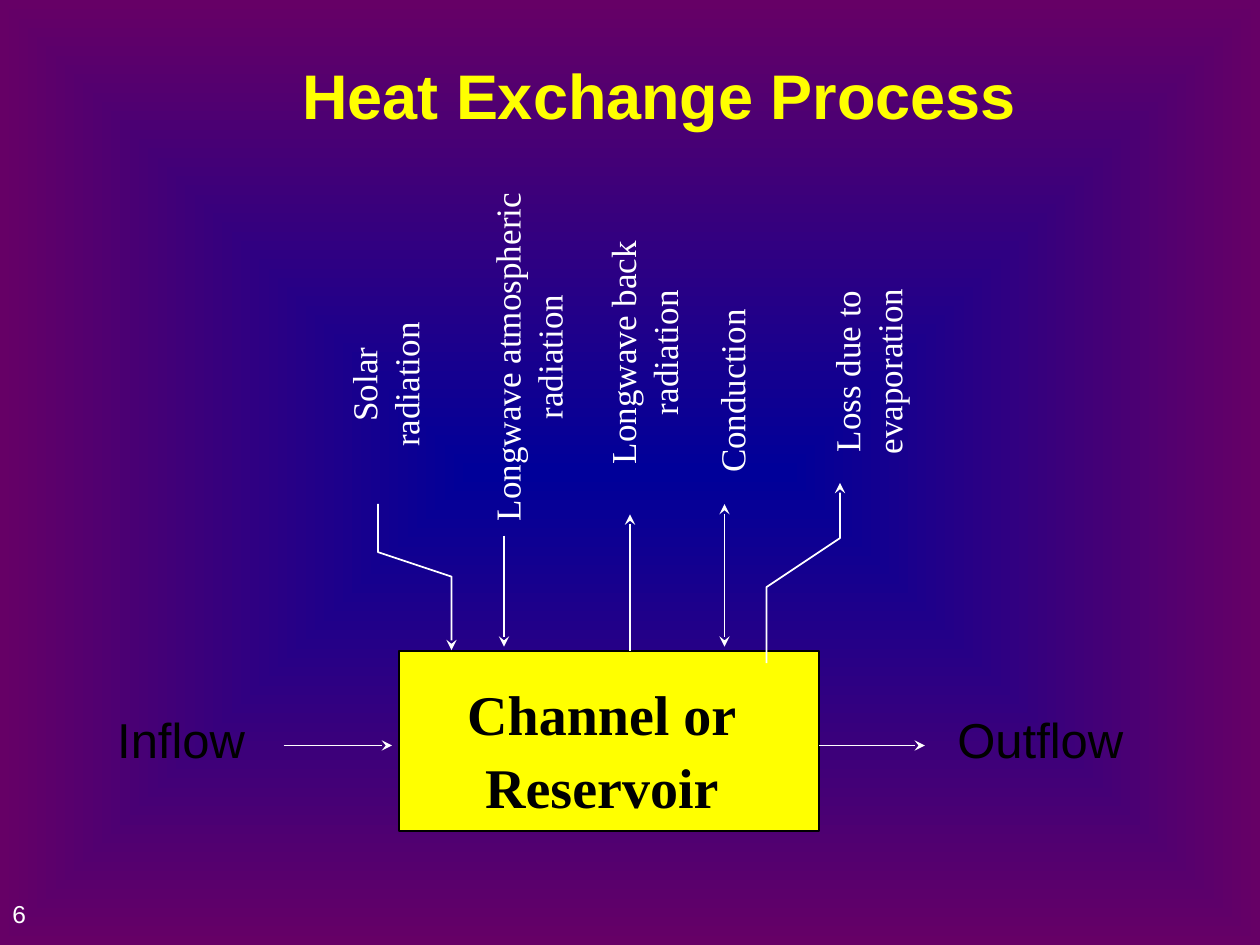
from dataclasses import dataclass

from pptx import Presentation
from pptx.dml.color import RGBColor
from pptx.enum.shapes import MSO_CONNECTOR, MSO_SHAPE
from pptx.enum.text import MSO_ANCHOR, MSO_AUTO_SIZE, PP_ALIGN
from pptx.oxml import parse_xml
from pptx.oxml.ns import nsdecls, qn
from pptx.oxml.xmlchemy import OxmlElement
from pptx.util import Pt


@dataclass(frozen=True)
class Theme:
    """Colours, fonts and type sizes of the slide."""
    centre: RGBColor = RGBColor.from_string("000099")
    edge: RGBColor = RGBColor.from_string("660066")
    accent: RGBColor = RGBColor.from_string("FFFF00")
    light: RGBColor = RGBColor.from_string("FFFFFF")
    dark: RGBColor = RGBColor.from_string("000000")
    sans: str = "Arial"
    serif: str = "Times New Roman"
    title: int = 36
    body: int = 32
    flow: int = 28
    label: int = 20
    number: int = 14


THEME = Theme()

HEAT_LABELS = [
    (["Solar radiation"], (155.5, 192, 128, 55.5)),
    (["Longwave atmospheric", "radiation"], (188.5, 165.5, 204, 77)),
    (["Longwave back", "radiation"], (281, 163, 151, 77)),
    (["Conduction"], (350, 208, 136, 31)),
    (["Loss due to evaporation"], (427.5, 184.5, 136, 55.5)),
]

STRAIGHT_ARROWS = [
    ((288, 306), (288, 369.5), 1, ["tailEnd"]),
    ((360, 294), (360, 372), 0.75, ["headEnd"]),
    ((414, 288), (414, 369.5), 1, ["headEnd", "tailEnd"]),
    ((162, 426), (224, 426), 1, ["tailEnd"]),
    ((468, 426), (528.5, 426), 1, ["tailEnd"]),
]

BENT_ARROWS = [
    [(216, 288), (216, 315.5), (258, 329.5), (258, 371.5)],
    [(438, 379), (438, 335.5), (480, 307.5), (480, 276)],
]


def apply_format(target, values):
    """Set each named attribute on the target."""
    for name, value in values.items():
        setattr(target, name, value)


def place(shape, box):
    """Give the shape its left, top, width and height in points."""
    apply_format(shape, dict(zip(("left", "top", "width", "height"), map(Pt, box))))


def write(shape, lines, size, font, colour, align=PP_ALIGN.CENTER, bold=False,
          anchor=MSO_ANCHOR.TOP, gap=0):
    """Fill a text frame with one formatted paragraph per line."""
    frame = shape.text_frame
    apply_format(frame, {"word_wrap": True, "auto_size": MSO_AUTO_SIZE.NONE,
                         "vertical_anchor": anchor})
    for index, line in enumerate(lines):
        para = frame.add_paragraph() if index else frame.paragraphs[0]
        apply_format(para, {"alignment": align, "space_before": Pt(gap if index else 0)})
        span = para.add_run()
        span.text = line
        apply_format(span.font, {"size": Pt(size), "name": font, "bold": bold})
        span.font.color.rgb = colour


def add_text(page, lines, box, *style, rotation=0, **options):
    """Add a text box, turned if asked."""
    shape = page.shapes.add_textbox(*map(Pt, box))
    shape.rotation = rotation
    write(shape, lines, *style, **options)


def style_arrow(shape, width, ends):
    """Draw a light line with stealth heads at the named ends."""
    shape.line.width = Pt(width)
    shape.line.color.rgb = THEME.light
    outline = shape.element.spPr.find(qn("a:ln"))
    for end in ends:
        head = OxmlElement(f"a:{end}")
        head.set("type", "stealth")
        outline.append(head)


def add_straight_arrow(page, start, end, width, ends):
    """Connect two points with an arrow."""
    arrow = page.shapes.add_connector(MSO_CONNECTOR.STRAIGHT, *map(Pt, start + end))
    style_arrow(arrow, width, ends)
    arrow.element.spPr.append(OxmlElement("a:effectLst"))


def add_bent_arrow(page, points):
    """Draw an open outline through the points, ending in an arrowhead."""
    first, *rest = [(Pt(x), Pt(y)) for x, y in points]
    builder = page.shapes.build_freeform(*first)
    builder.add_line_segments(rest, close=False)
    arrow = builder.convert_to_shape()
    arrow.shadow.inherit = False
    arrow.fill.background()
    style_arrow(arrow, 1, ["tailEnd"])


def add_water_body(page):
    """Add the box for the channel or reservoir with its caption."""
    block = page.shapes.add_shape(MSO_SHAPE.RECTANGLE, Pt(228), Pt(372), Pt(240), Pt(103))
    block.shadow.inherit = False
    block.fill.solid()
    block.fill.fore_color.rgb = THEME.accent
    block.line.color.rgb = THEME.dark
    block.line.width = Pt(1)
    add_text(page, ["Channel or", "Reservoir"], (251, 385, 186, 84),
             THEME.body, THEME.serif, THEME.dark, bold=True, gap=3)


def paint_background(page):
    """Fill the page with a rectangular gradient from its centre."""
    fill = page.background.fill
    fill.gradient()
    for stop, colour, position in zip(fill.gradient_stops, (THEME.centre, THEME.edge), (0, 1)):
        stop.color.rgb = colour
        stop.position = position
    gradient = next(page.element.iter(qn("a:gradFill")))
    gradient.replace(gradient.find(qn("a:lin")), parse_xml(
        f'<a:path {nsdecls("a")} path="rect">'
        '<a:fillToRect l="50000" t="50000" r="50000" b="50000"/></a:path>'))


def main():
    """Build and save the heat exchange slide."""
    deck = Presentation()
    apply_format(deck, {"slide_width": Pt(720), "slide_height": Pt(540)})
    page = deck.slides.add_slide(deck.slide_layouts[5])
    paint_background(page)
    place(page.shapes.title, (-24, 0, 612, 108))
    write(page.shapes.title, ["Heat Exchange Process"], THEME.title, THEME.sans,
          THEME.accent, PP_ALIGN.RIGHT, True, MSO_ANCHOR.MIDDLE)
    add_text(page, ["6"], (0, 510, 150, 30), THEME.number, THEME.sans,
             THEME.light, align=PP_ALIGN.LEFT)
    add_water_body(page)
    for word, box in (("Inflow", (36, 402, 135, 41)), ("Outflow", (540, 402, 109, 41))):
        add_text(page, [word], box, THEME.flow, THEME.sans, THEME.dark)
    for lines, box in HEAT_LABELS:
        add_text(page, lines, box, THEME.label, THEME.serif, THEME.light,
                 rotation=270, anchor=MSO_ANCHOR.BOTTOM)
    for arrow in STRAIGHT_ARROWS:
        add_straight_arrow(page, *arrow)
    for points in BENT_ARROWS:
        add_bent_arrow(page, points)
    deck.save("out.pptx")


if __name__ == "__main__":
    main()
